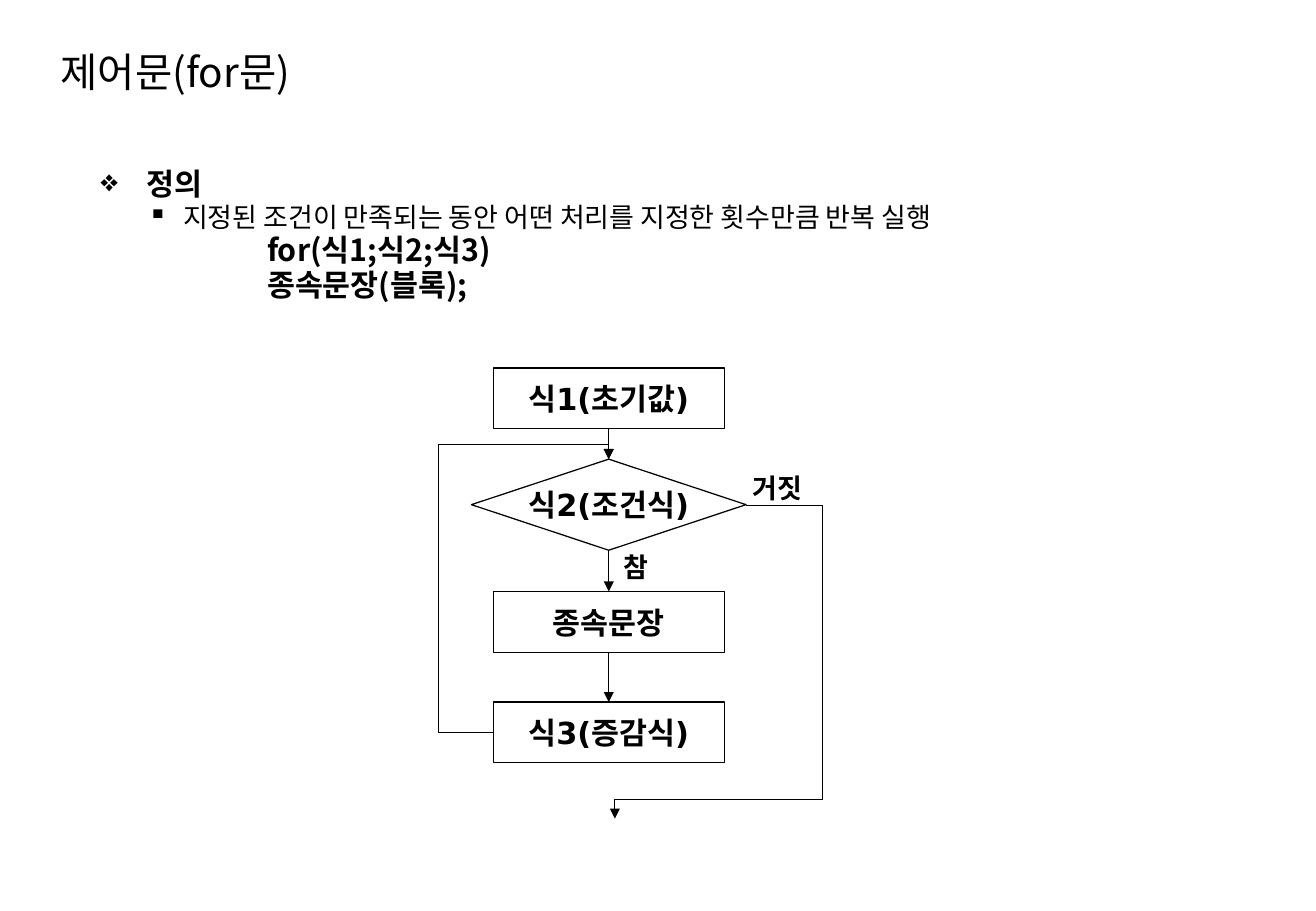
from lxml import etree
from pptx import Presentation
from pptx.dml.color import RGBColor
from pptx.enum import shapes, text
from pptx.oxml.ns import qn
from pptx.util import Inches, Pt

BLACK = RGBColor(0, 0, 0)
TEXT_FONT = "Noto Sans CJK KR"
CHART_FONT = "DejaVu Sans"
CENTER_X = 5.01
SHAPE_KINDS = shapes.MSO_SHAPE


def format_runs(paragraph, size, font_name, bold=False):
    for run in paragraph.runs:
        run.font.size = Pt(size)
        run.font.name = font_name
        run.font.bold = bold
        run.font.color.rgb = BLACK
        east_asian = etree.SubElement(run.font._element, qn("a:ea"))
        east_asian.set("typeface", TEXT_FONT)


def set_outline(shape, arrow=False):
    shape.line.color.rgb = BLACK
    shape.line.width = Pt(0.75)
    if arrow:
        line = shape.line._get_or_add_ln()
        etree.SubElement(line, qn("a:tailEnd"), type="triangle")


def set_indent(paragraph, margin, first_line, bullet):
    properties = paragraph._p.get_or_add_pPr()
    properties.set("marL", str(Inches(margin)))
    properties.set("indent", str(Inches(first_line)))
    if bullet:
        etree.SubElement(properties, qn("a:buChar"), char=bullet)
    else:
        etree.SubElement(properties, qn("a:buNone"))


def add_title(slide, words):
    title = slide.shapes.title
    title.left, title.top = Inches(0.4), Inches(0.32)
    title.width, title.height = Inches(6.26), Inches(0.54)
    frame = title.text_frame
    frame.text = words
    frame.vertical_anchor = text.MSO_ANCHOR.MIDDLE
    frame.paragraphs[0].alignment = text.PP_ALIGN.LEFT
    format_runs(frame.paragraphs[0], 24, TEXT_FONT)


def add_definition(slide):
    rows = [
        ("정의", 0.38, -0.38, "❖", 18, True),
        ("지정된 조건이 만족되는 동안 어떤 처리를 지정한 횟수만큼 반복 실행",
         0.68, -0.29, "▪", 16, False),
        ("for(식1;식2;식3)", 1.37, 0, None, 18, True),
        ("종속문장(블록);", 1.37, 0, None, 18, True),
    ]
    box = slide.shapes.add_textbox(
        Inches(0.73), Inches(1.33), Inches(9.33), Inches(1.5))
    frame = box.text_frame
    frame.word_wrap = True
    frame.text = "\n".join(row[0] for row in rows)
    for paragraph, row in zip(frame.paragraphs, rows):
        _, margin, first_line, bullet, size, bold = row
        paragraph.line_spacing = 0.96
        set_indent(paragraph, margin, first_line, bullet)
        format_runs(paragraph, size, TEXT_FONT, bold)


def set_centered_text(shape, words, size):
    frame = shape.text_frame
    frame.word_wrap = False
    frame.text = words
    frame.paragraphs[0].alignment = text.PP_ALIGN.CENTER
    format_runs(frame.paragraphs[0], size, CHART_FONT, bold=True)


def add_step(slide, kind, words, top, width, height):
    step = slide.shapes.add_shape(
        kind, Inches(CENTER_X - width / 2), Inches(top),
        Inches(width), Inches(height))
    step.shadow.inherit = False
    step.fill.background()
    set_outline(step)
    set_centered_text(step, words, 18)
    step.text_frame.vertical_anchor = text.MSO_ANCHOR.MIDDLE
    return step


def add_arrow(slide, upper, lower):
    """Join the bottom of one step to the top of the next."""
    arrow = slide.shapes.add_connector(
        shapes.MSO_CONNECTOR.STRAIGHT, 0, 0, 0, 0)
    arrow.begin_connect(upper, 2)
    arrow.end_connect(lower, 0)
    set_outline(arrow, arrow=True)
    etree.SubElement(arrow._element.spPr, qn("a:effectLst"))


def add_branch(slide, points):
    """Draw an angled arrow through the points."""
    start, *rest = [(Inches(x), Inches(y)) for x, y in points]
    builder = slide.shapes.build_freeform(*start)
    builder.add_line_segments(rest, close=False)
    branch = builder.convert_to_shape()
    branch.shadow.inherit = False
    branch.fill.background()
    set_outline(branch, arrow=True)


def add_label(slide, words, left, top, width):
    label = slide.shapes.add_textbox(
        Inches(left), Inches(top), Inches(width), Inches(0.37))
    set_centered_text(label, words, 16)


def add_flowchart(slide):
    process = SHAPE_KINDS.FLOWCHART_PROCESS
    decision = SHAPE_KINDS.FLOWCHART_DECISION
    steps = [
        add_step(slide, process, "식1(초기값)", 3.03, 1.9, 0.5),
        add_step(slide, decision, "식2(조건식)", 3.78, 2.26, 0.75),
        add_step(slide, process, "종속문장", 4.87, 1.9, 0.5),
        add_step(slide, process, "식3(증감식)", 5.78, 1.9, 0.5),
    ]
    for upper, lower in zip(steps, steps[1:]):
        add_arrow(slide, upper, lower)
    add_branch(slide, [(4.06, 6.03), (3.61, 6.03), (3.61, 3.66),
                       (CENTER_X, 3.66), (CENTER_X, 3.78)])
    add_branch(slide, [(6.14, 4.16), (6.77, 4.16), (6.77, 6.58),
                       (5.06, 6.58), (5.06, 6.74)])
    add_label(slide, "거짓", 6.08, 3.83, 0.64)
    add_label(slide, "참", 5.02, 4.48, 0.42)


def main():
    presentation = Presentation()
    presentation.slide_width = Inches(10.83)
    presentation.slide_height = Inches(7.5)
    slide = presentation.slides.add_slide(presentation.slide_layouts[5])
    add_title(slide, "제어문(for문)")
    add_definition(slide)
    add_flowchart(slide)
    presentation.save("out.pptx")


if __name__ == "__main__":
    main()
